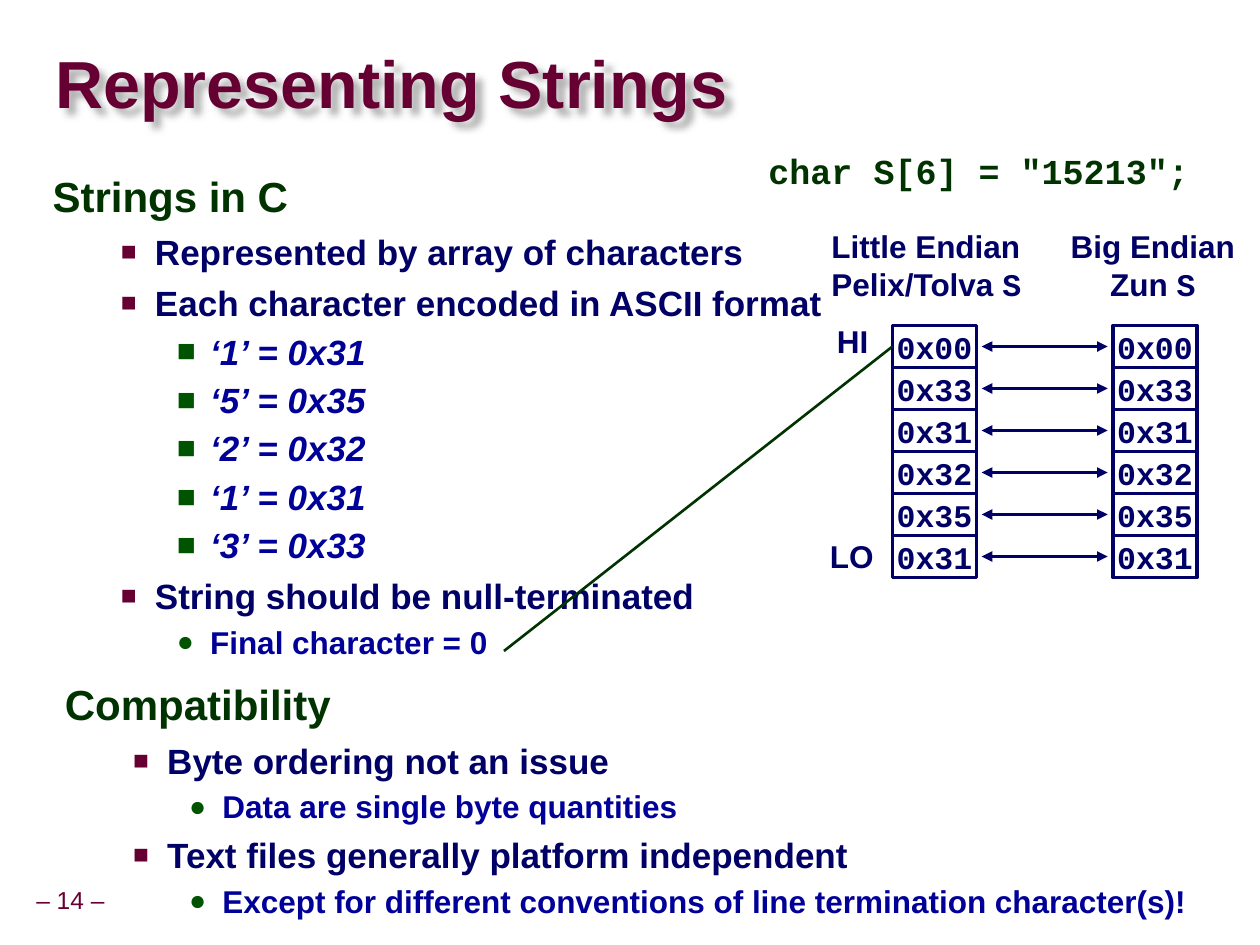
"""Build the slide on how strings are stored in C."""
from lxml import etree
from pptx import Presentation
from pptx.dml.color import RGBColor
from pptx.enum.shapes import MSO_CONNECTOR, MSO_SHAPE
from pptx.enum.text import MSO_ANCHOR, PP_ALIGN
from pptx.oxml import parse_xml
from pptx.oxml.ns import nsdecls, qn
from pptx.util import Pt

LEFT, CENTER = PP_ALIGN.LEFT, PP_ALIGN.CENTER
TOP, MIDDLE = MSO_ANCHOR.TOP, MSO_ANCHOR.MIDDLE
RECT, LINE = MSO_SHAPE.RECTANGLE, MSO_CONNECTOR.STRAIGHT

THEME = {
    "sans": "Arial", "mono": "Courier New",
    "wine": "660033", "green": "003300", "leaf": "005400",
    "navy": "000066", "blue": "000099", "white": "FFFFFF", "shade": "808080",
    "title": 38, "head": 24, "body": 20, "small": 18, "foot": 14,
}
LEVELS = {
    "head": dict(size="head", color="green", hang=(30, -30), line=0.95, gap=12),
    "point": dict(size="body", color="navy", hang=(58.5, -19.5), gap=5,
                  mark=("■", "wine", 75)),
    "code": dict(size="body", color="blue", italic=True, hang=(90, -19),
                 line=1.07, gap=2, mark=("■", "leaf", 90)),
    "note": dict(size="small", color="blue", hang=(90, -19), line=1.07,
                 gap=2, mark=("●", "leaf", 90)),
}
STRINGS = [
    ("head", "Strings in C"),
    ("point", "Represented by array of characters"),
    ("point", "Each character encoded in ASCII format"),
    *[("code", f"‘{char}’ = 0x{ord(char):02x}") for char in "15213"],
    ("point", "String should be null-terminated"),
    ("note", "Final character = 0"),
]
COMPAT = [
    ("head", "Compatibility"),
    ("point", "Byte ordering not an issue"),
    ("note", "Data are single byte quantities"),
    ("point", "Text files generally platform independent"),
    ("note", "Except for different conventions of line termination character(s)!"),
]
BYTES = ["0x00", "0x33", "0x31", "0x32", "0x35", "0x31"]
STACKS = [
    (510, (468, 126, 134.5, 51), LEFT, "Little Endian", "Pelix/Tolva "),
    (636, (604, 126, 109.5, 51), CENTER, "Big Endian", "Zun "),
]
ENDS = [("HI", (471, 183, 32.5, 27)), ("LO", (467, 306, 39.5, 27))]
ROW_TOP, ROW, CELL = 186, 24, 48

deck = Presentation()
deck.slide_width, deck.slide_height = Pt(720), Pt(540)
slide = deck.slides.add_slide(deck.slide_layouts[6])


def rgb(name):
    """Look up a theme colour."""
    return RGBColor.from_string(THEME[name])


def write(frame, text, size="small", color="navy", font="sans", bold=True,
          italic=False, align=LEFT, line=1, gap=0, hang=None, mark=None, tail=""):
    """Add one paragraph, with an optional tail in the mono font."""
    first = not frame.text
    para = frame.paragraphs[0] if first else frame.add_paragraph()
    para.alignment, para.line_spacing = align, line
    para.space_before = Pt(0 if first else gap)
    props = para._p.get_or_add_pPr()
    if hang:
        props.set("marL", str(Pt(hang[0])))
        props.set("indent", str(Pt(hang[1])))
    if mark:
        char, tint, scale = mark
        tone = etree.SubElement(props, qn("a:buClr"))
        etree.SubElement(tone, qn("a:srgbClr"), val=THEME[tint])
        etree.SubElement(props, qn("a:buSzPct"), val=str(scale * 1000))
        etree.SubElement(props, qn("a:buFont"), typeface=THEME["sans"])
        etree.SubElement(props, qn("a:buChar"), char=char)
    for part, face in ((text, font), (tail, "mono")):
        if part:
            run = para.add_run()
            run.text = part
            run.font.name, run.font.size = THEME[face], Pt(THEME[size])
            run.font.bold, run.font.italic = bold, italic
            run.font.color.rgb = rgb(color)


def box(area, wrap=True, anchor=TOP, inset=None):
    """Add an empty text box."""
    shape = slide.shapes.add_textbox(*map(Pt, area))
    frame = shape.text_frame
    frame.word_wrap, frame.vertical_anchor = wrap, anchor
    if inset is not None:
        frame.margin_left = frame.margin_right = Pt(inset)
        frame.margin_top = frame.margin_bottom = Pt(inset)
    return shape


def outline(area, items):
    """Add a bulleted text block."""
    frame = box(area).text_frame
    for level, text in items:
        write(frame, text, **LEVELS[level])


def link(start, end, color, width, heads=False):
    """Add a straight line, with arrowheads on request."""
    line = slide.shapes.add_connector(LINE, *map(Pt, start + end))
    line.line.color.rgb, line.line.width = rgb(color), Pt(width)
    if heads:
        stroke = line.line._get_or_add_ln()
        for tip in ("a:headEnd", "a:tailEnd"):
            etree.SubElement(stroke, qn(tip), type="triangle")
    etree.SubElement(line._element.spPr, qn("a:effectLst"))


def cell(left, top, text):
    """Add one byte of memory."""
    shape = slide.shapes.add_shape(RECT, Pt(left), Pt(top), Pt(CELL), Pt(ROW))
    shape.shadow.inherit = False
    shape.fill.solid()
    shape.fill.fore_color.rgb = rgb("white")
    shape.line.color.rgb, shape.line.width = rgb("navy"), Pt(2)
    frame = shape.text_frame
    frame.word_wrap, frame.vertical_anchor = False, MIDDLE
    write(frame, text, font="mono", align=CENTER)


page = box((16.5, 504, 47.5, 22.5), wrap=False, anchor=MIDDLE, inset=3.6)
write(page.text_frame, "– 14 –", size="foot", color="wine", bold=False,
      align=CENTER, line=0.9)
title = box((31.5, 19.5, 686, 61), anchor=MIDDLE, inset=0)
write(title.text_frame, "Representing Strings", size="title", color="wine", line=0.87)
title._element.spPr.append(parse_xml(
    f'<a:effectLst {nsdecls("a")}><a:outerShdw blurRad="{Pt(4)}" dist="{Pt(5)}" '
    f'dir="2700000" algn="tl"><a:srgbClr val="{THEME["shade"]}">'
    '<a:alpha val="60000"/></a:srgbClr></a:outerShdw></a:effectLst>'))
write(box((432, 83.5, 270, 42)).text_frame, 'char S[6] = "15213";', size="body",
      color="green", font="mono", hang=(30, -30), line=0.95)
outline((23, 96, 667.5, 276), STRINGS)

for left, area, align, order, system in STACKS:
    label = box(area, wrap=False).text_frame
    write(label, order, align=align)
    write(label, system, align=align, tail="S")
    for row, byte in enumerate(BYTES):
        cell(left, ROW_TOP + row * ROW, byte)
for row in range(len(BYTES)):
    mid = ROW_TOP + (row + 0.5) * ROW
    link((561, mid), (633, mid), "navy", 2, heads=True)
for text, area in ENDS:
    write(box(area, wrap=False).text_frame, text, align=CENTER, line=0.9)

link((288, 372), (510, 198), "green", 1.5)
outline((30, 386.5, 667.5, 135.5), COMPAT)
deck.save("out.pptx")
